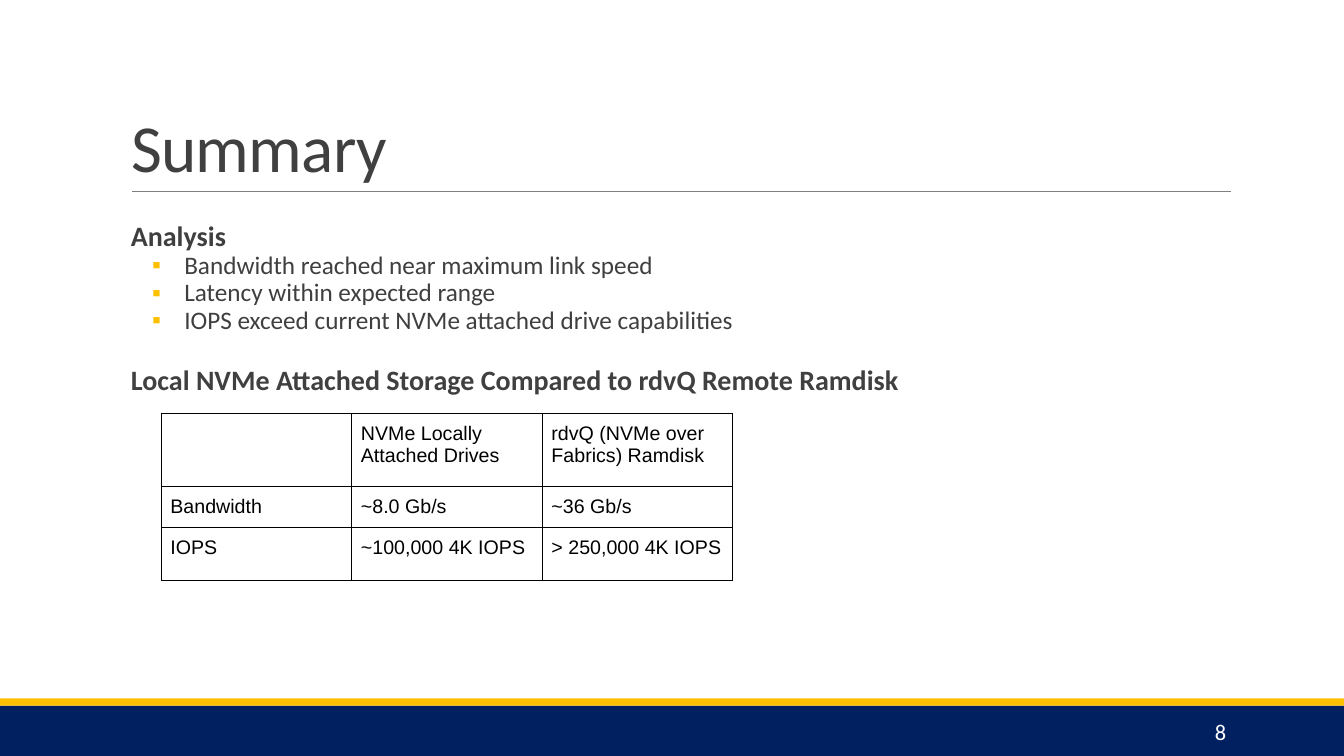
from lxml import etree
from pptx import Presentation
from pptx.dml.color import RGBColor as RGB
from pptx.enum.shapes import MSO_CONNECTOR as CONN, MSO_SHAPE as SHAPE
from pptx.enum.text import MSO_ANCHOR as ANCHOR, MSO_AUTO_SIZE as AUTO, PP_ALIGN as ALIGN
from pptx.oxml.ns import qn
from pptx.util import Pt

PX = 9144  # 100 px to the inch
W, H = 1333, 750
COLORS = {"navy": "002060", "gold": "FFC000", "rule": "808080", "title": "404040",
          "body": "3F3F3F", "white": "FFFFFF", "black": "000000"}


def color(name):
    return RGB.from_string(COLORS[name])


def px(*lengths):
    return [n * PX for n in lengths]


def add_solid(parent, name):
    fill = etree.SubElement(parent, qn("a:solidFill"))
    etree.SubElement(fill, qn("a:srgbClr"), val=COLORS[name])


class SlideBuilder:
    font = "Calibri"
    line_spacing = 0.9

    def __init__(self, prs):
        self.s = prs.slides.add_slide(prs.slide_layouts[5])

    def run(self, p, text, size, name, bold=False, font=None):
        r = p.add_run()
        r.text = text
        f = r.font
        f.name, f.size, f.bold = font or self.font, Pt(size), bold
        f.color.rgb = color(name)
        return r

    def frame(self, sp, inset=(10, 10), anchor=ANCHOR.TOP):
        tf = sp.text_frame
        tf.word_wrap, tf.auto_size, tf.vertical_anchor = True, AUTO.NONE, anchor
        tf.margin_left = tf.margin_right = inset[0] * PX
        tf.margin_top = tf.margin_bottom = inset[1] * PX
        return tf

    def title(self, text, box):
        sp = self.s.shapes.title
        sp.left, sp.top, sp.width, sp.height = px(*box)
        p = self.frame(sp, (10, 5), ANCHOR.BOTTOM).paragraphs[0]
        p.alignment, p.line_spacing = ALIGN.LEFT, 0.85
        r = self.run(p, text, 48, "title")
        r.font._element.set("spc", "-50")

    def bar(self, box, name):
        sp = self.s.shapes.add_shape(SHAPE.RECTANGLE, *px(*box))
        sp.shadow.inherit = False
        sp.fill.solid()
        sp.fill.fore_color.rgb = color(name)
        sp.line.fill.background()

    def rule(self, x1, x2, y):
        sp = self.s.shapes.add_connector(CONN.STRAIGHT, *px(x1, y, x2, y))
        sp.line.color.rgb = color("rule")
        sp.line.width = Pt(0.5)
        etree.SubElement(sp._element.spPr, qn("a:effectLst"))

    def section(self, heading, box, name, bullets=()):
        tf = self.frame(self.s.shapes.add_textbox(*px(*box)))
        p = tf.paragraphs[0]
        p.line_spacing = self.line_spacing
        self.run(p, heading, 20, name, bold=True)
        for text in bullets:
            p = tf.add_paragraph()
            p.level, p.line_spacing = 1, self.line_spacing
            self.bullet(p)
            self.run(p, text, 18, name)

    def bullet(self, p):
        pPr = p._p.get_or_add_pPr()
        pPr.set("marL", str(53 * PX))
        pPr.set("indent", str(-32 * PX))
        clr = etree.SubElement(pPr, qn("a:buClr"))
        etree.SubElement(clr, qn("a:srgbClr"), val=COLORS["gold"])
        etree.SubElement(pPr, qn("a:buFont"), typeface="Arial")
        etree.SubElement(pPr, qn("a:buChar"), char="▪")

    def page_number(self, text, box):
        sp = self.s.shapes.add_textbox(*px(*box))
        p = self.frame(sp, (10, 5), ANCHOR.MIDDLE).paragraphs[0]
        p.alignment = ALIGN.RIGHT
        self.run(p, text, 16, "white")

    def table(self, rows, left, top, col_width, heights):
        n = len(rows[0])
        box = px(left, top, n * col_width, sum(heights))
        tbl = self.s.shapes.add_table(len(rows), n, *box).table
        tbl.first_row = tbl.horz_banding = False
        for col in tbl.columns:
            col.width = col_width * PX
        for row, height, texts in zip(tbl.rows, heights, rows):
            row.height = height * PX
            for cell, text in zip(row.cells, texts):
                self.cell(cell, text)

    def cell(self, cell, text):
        cell.margin_left = cell.margin_right = 9 * PX
        cell.margin_top = cell.margin_bottom = 9 * PX
        tcPr = cell._tc.get_or_add_tcPr()
        for side in "LRTB":
            ln = etree.SubElement(tcPr, qn(f"a:ln{side}"), w=str(Pt(0.75)))
            add_solid(ln, "black")
        cell.fill.background()
        if text:
            self.run(cell.text_frame.paragraphs[0], text, 14, "black", font="Arial")


def main():
    prs = Presentation()
    prs.slide_width, prs.slide_height = px(W, H)
    b = SlideBuilder(prs)
    b.bar((0, 700, W, 50), "navy")
    b.bar((0, 693, W, 7), "gold")
    b.rule(131, 1221, 190)
    b.title("Summary", (120, 31, 1100, 159))
    b.page_number("8", (1083, 706, 143, 40))
    b.section("Local NVMe Attached Storage Compared to rdvQ Remote Ramdisk",
              (120, 353, 1100, 249), "title")
    b.section("Analysis", (120, 211, 1100, 147), "body", [
        "Bandwidth reached near maximum link speed",
        "Latency within expected range",
        "IOPS exceed current NVMe attached drive capabilities",
    ])
    b.table([
        ["", "NVMe Locally Attached Drives", "rdvQ (NVMe over Fabrics) Ramdisk"],
        ["Bandwidth", "~8.0 Gb/s", "~36 Gb/s"],
        ["IOPS", "~100,000 4K IOPS", "> 250,000 4K IOPS"],
    ], left=160, top=410, col_width=189, heights=[73, 40, 53])
    prs.save("out.pptx")


if __name__ == "__main__":
    main()
